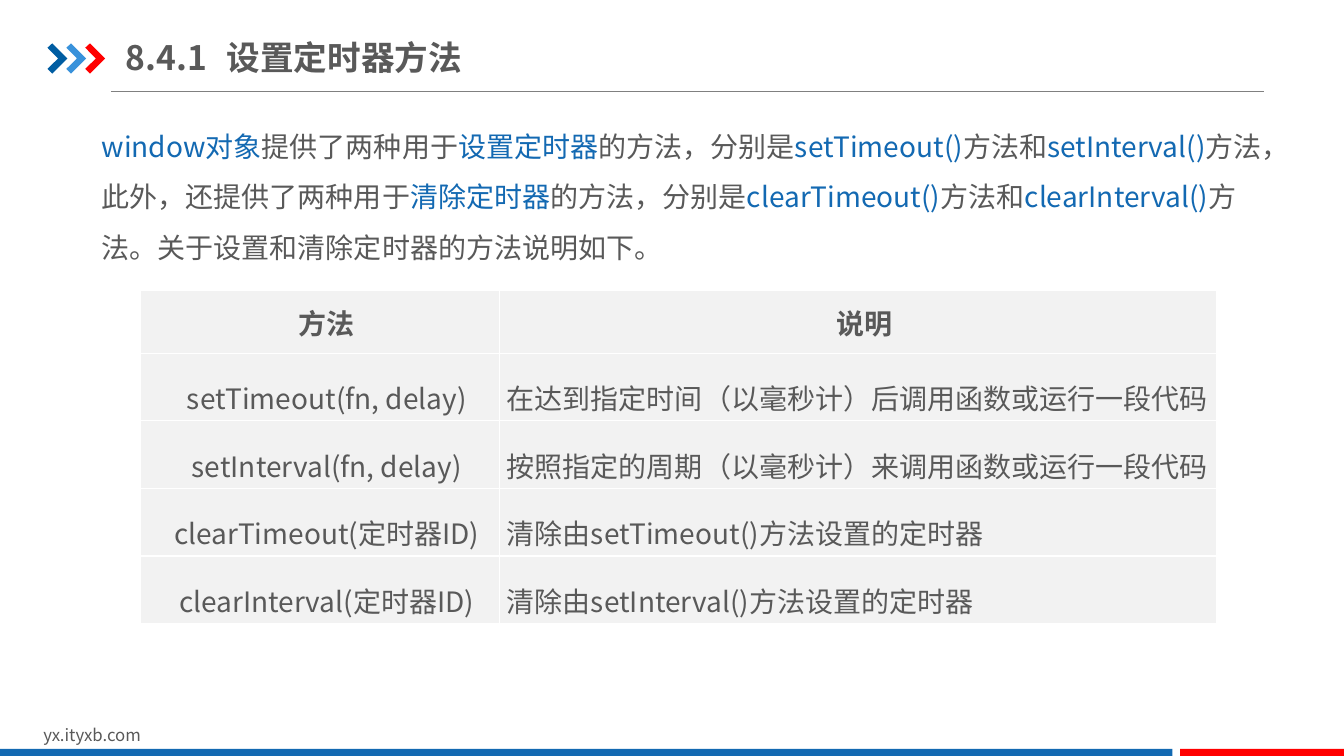
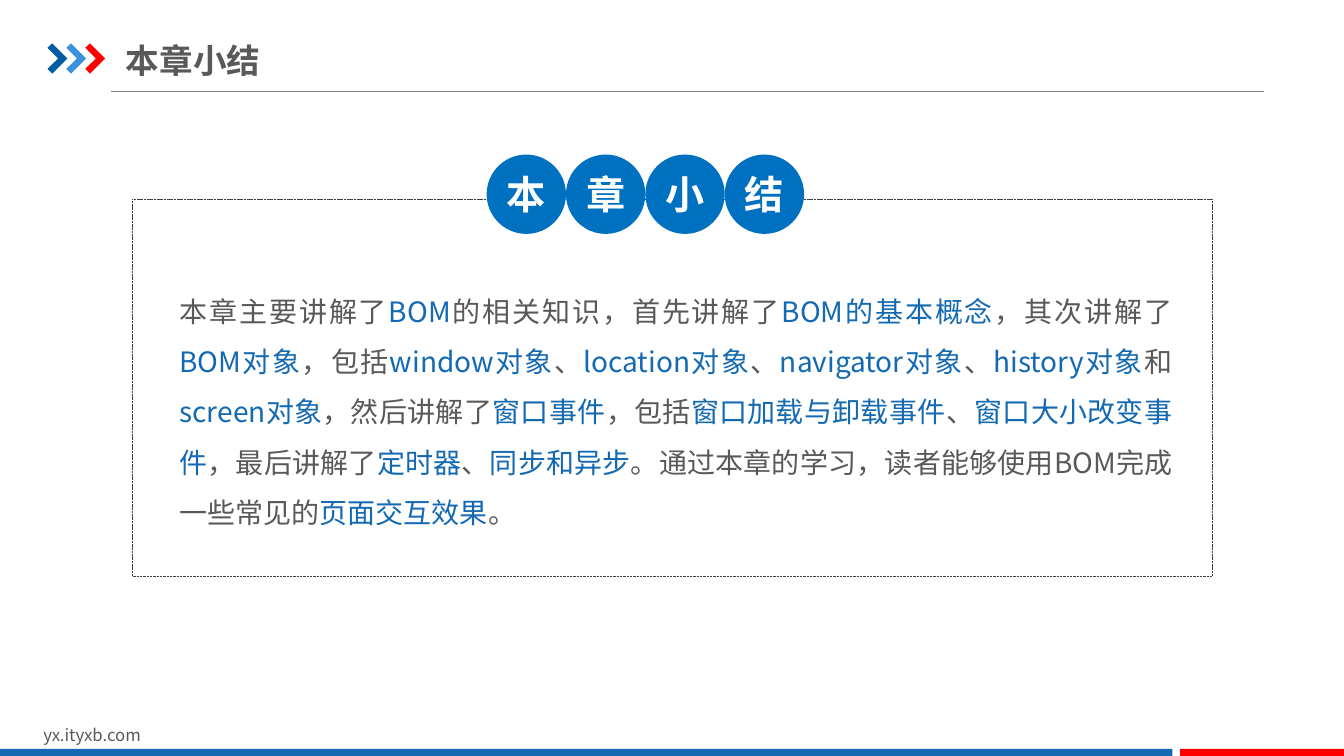
from dataclasses import dataclass

from lxml import etree
from pptx import Presentation
from pptx.dml.color import RGBColor
from pptx.enum import dml, shapes, text
from pptx.oxml.ns import qn
from pptx.util import Pt


@dataclass(frozen=True)
class Theme:
    font: str = "Noto Sans CJK SC"
    ink: str = "595959"
    accent: str = "1369B2"
    red: str = "FF0000"
    rule: str = "808080"
    frame: str = "404040"
    badge: str = "0070C0"
    cell: str = "F2F2F2"
    white: str = "FFFFFF"
    chevrons: tuple = ("005DA2", "3992DB", "FF0000")
    title_size: int = 24
    body_size: int = 20
    badge_size: int = 28
    footer_size: int = 12


THEME = Theme()
SITE = "yx.ityxb.com"
TIMER_TITLE = "8.4.1\t设置定时器方法"
TIMER_INTRO = (
    "|window对象|提供了两种用于|设置定时器|的方法，分别是|setTimeout()|方法和|setInterval()|"
    "方法，此外，还提供了两种用于|清除定时器|的方法，分别是|clearTimeout()|方法和|clearInterval()|"
    "方法。关于设置和清除定时器的方法说明如下。"
)
TIMER_METHODS = [
    ("方法", "说明"),
    ("setTimeout(fn, delay)", "在达到指定时间（以毫秒计）后调用函数或运行一段代码"),
    ("setInterval(fn, delay)", "按照指定的周期（以毫秒计）来调用函数或运行一段代码"),
    ("clearTimeout(定时器ID)", "清除由setTimeout()方法设置的定时器"),
    ("clearInterval(定时器ID)", "清除由setInterval()方法设置的定时器"),
]
SUMMARY_TITLE = "本章小结"
SUMMARY = (
    "本章主要讲解了|BOM|的相关知识，首先讲解了|BOM的基本概念|，其次讲解了|BOM对象|，包括|window对象|、"
    "|location对象|、|navigator对象|、|history对象|和|screen对象|，然后讲解了|窗口事件|，包括"
    "|窗口加载与卸载事件|、|窗口大小改变事件|，最后讲解了|定时器|、|同步和异步|"
    "。通过本章的学习，读者能够使用BOM完成一些常见的|页面交互效果|。"
)

CHEVRON = [(0, 3.1), (3.4, 0), (14.2, 10.8), (3.4, 21.6), (0, 18.2), (7.6, 10.8)]
CHEVRON_LEFT, CHEVRON_TOP, CHEVRON_STEP = 33.9, 31, 13.5
COLUMN_WIDTHS = (256.3, 512.6)
HEADER_HEIGHT, ROW_HEIGHT = 44.6, 48.3
BADGE_LEFT, BADGE_TOP, BADGE_SIZE = 347.6, 110.4, 56.7


def rgb(value):
    return RGBColor.from_string(value)


def points(*values):
    return [Pt(value) for value in values]


def style_run(run, size, color=THEME.ink, bold=False):
    run.font.size = Pt(size)
    run.font.bold = bold
    run.font.color.rgb = rgb(color)
    run.font.name = THEME.font
    etree.SubElement(run.font._element, qn("a:ea"), typeface=THEME.font)


def style_paragraph(paragraph, size, color=THEME.ink, bold=False):
    for run in paragraph.runs:
        style_run(run, size, color, bold)


def set_margins(frame, horizontal, vertical):
    frame.margin_left = frame.margin_right = Pt(horizontal)
    frame.margin_top = frame.margin_bottom = Pt(vertical)


def fill_plain(shape, color):
    shape.shadow.inherit = False
    shape.fill.solid()
    shape.fill.fore_color.rgb = rgb(color)
    shape.line.fill.background()


def add_text_box(slide, box):
    label = slide.shapes.add_textbox(*points(*box))
    label.text_frame.word_wrap = True
    return label


def add_marked_text(slide, box, marked, align, margins):
    frame = add_text_box(slide, box).text_frame
    set_margins(frame, *margins)
    paragraph = frame.paragraphs[0]
    paragraph.alignment = align
    paragraph.line_spacing = 1.5
    for index, part in enumerate(marked.split("|")):
        if part:
            run = paragraph.add_run()
            run.text = part
            style_run(run, THEME.body_size, THEME.accent if index % 2 else THEME.ink)


def set_title(slide, wording, box):
    title = slide.shapes.title
    title.left, title.top, title.width, title.height = points(*box)
    frame = title.text_frame
    frame.text = wording
    frame.word_wrap = True
    frame.auto_size = text.MSO_AUTO_SIZE.NONE
    frame.vertical_anchor = text.MSO_ANCHOR.MIDDLE
    set_margins(frame, 0, 5)
    frame.paragraphs[0].alignment = text.PP_ALIGN.LEFT
    style_paragraph(frame.paragraphs[0], THEME.title_size, bold=True)


def move_frame_to_layout(slide, layout):
    for holder in list(layout.placeholders):
        if holder.placeholder_format.type != shapes.PP_PLACEHOLDER.TITLE:
            layout.shapes.element.remove(holder.element)

    rule = slide.shapes.add_connector(shapes.MSO_CONNECTOR.STRAIGHT, *points(79.2, 65.5, 902.9, 65.5))
    rule.line.color.rgb = rgb(THEME.rule)
    rule.line.width = Pt(0.75)
    etree.SubElement(rule.element.spPr, qn("a:effectLst"))

    chevrons = slide.shapes.add_group_shape()
    for index, color in enumerate(THEME.chevrons):
        left = CHEVRON_LEFT + index * CHEVRON_STEP
        outline = [points(left + x, CHEVRON_TOP + y) for x, y in CHEVRON]
        builder = chevrons.shapes.build_freeform(*outline[0])
        builder.add_line_segments(outline[1:], close=True)
        fill_plain(builder.convert_to_shape(), color)

    site = add_text_box(slide, (23.8, 514, 229, 21.8))
    site.text_frame.text = SITE
    style_paragraph(site.text_frame.paragraphs[0], THEME.footer_size)

    parts = [rule, chevrons, site]
    for left, width, color in [(0, 837.4, THEME.accent), (843, 117, THEME.red)]:
        band = slide.shapes.add_shape(shapes.MSO_SHAPE.RECTANGLE, *points(left, 535, width, 5))
        fill_plain(band, color)
        parts.append(band)
    for part in parts:
        layout.shapes.element.append(part.element)


def add_cell_borders(cell):
    properties = cell._tc.get_or_add_tcPr()
    for side in ("lnL", "lnR", "lnT", "lnB"):
        border = etree.SubElement(properties, qn(f"a:{side}"), w=str(Pt(1)))
        fill = etree.SubElement(border, qn("a:solidFill"))
        etree.SubElement(fill, qn("a:srgbClr"), val=THEME.white)


def add_methods_table(slide):
    heights = [HEADER_HEIGHT] + [ROW_HEIGHT] * (len(TIMER_METHODS) - 1)
    box = points(100.3, 207.7, sum(COLUMN_WIDTHS), sum(heights))
    table = slide.shapes.add_table(len(heights), len(COLUMN_WIDTHS), *box).table
    table.first_row = table.horz_banding = False
    for column, width in zip(table.columns, COLUMN_WIDTHS):
        column.width = Pt(width)
    for r, (height, wording) in enumerate(zip(heights, TIMER_METHODS)):
        table.rows[r].height = Pt(height)
        for c, words in enumerate(wording):
            cell = table.cell(r, c)
            add_cell_borders(cell)
            cell.fill.solid()
            cell.fill.fore_color.rgb = rgb(THEME.cell)
            cell.vertical_anchor = text.MSO_ANCHOR.MIDDLE
            set_margins(cell, 5.4, 0)
            paragraph = cell.text_frame.paragraphs[0]
            paragraph.text = words
            if r == 0 or c == 0:
                paragraph.alignment = text.PP_ALIGN.CENTER
                paragraph._p.get_or_add_pPr().set("indent", str(Pt(10)))
            if r:
                paragraph.line_spacing = 1.5
            style_paragraph(paragraph, THEME.body_size, bold=r == 0)


def add_summary_frame(slide):
    frame = slide.shapes.add_shape(shapes.MSO_SHAPE.ROUNDED_RECTANGLE, *points(94.5, 142.4, 771.5, 269.2))
    frame.adjustments[0] = 0
    frame.shadow.inherit = False
    frame.fill.background()
    frame.line.color.rgb = rgb(THEME.frame)
    frame.line.width = Pt(0.25)
    frame.line.dash_style = dml.MSO_LINE.SQUARE_DOT


def add_badges(slide):
    for index, character in enumerate(SUMMARY_TITLE):
        box = points(BADGE_LEFT + index * BADGE_SIZE, BADGE_TOP, BADGE_SIZE, BADGE_SIZE)
        badge = slide.shapes.add_shape(shapes.MSO_SHAPE.OVAL, *box)
        fill_plain(badge, THEME.badge)
        frame = badge.text_frame
        frame.text = character
        frame.vertical_anchor = text.MSO_ANCHOR.MIDDLE
        set_margins(frame, 0, 0)
        frame.paragraphs[0].alignment = text.PP_ALIGN.CENTER
        style_paragraph(frame.paragraphs[0], THEME.badge_size, THEME.white, True)


def main():
    deck = Presentation()
    deck.slide_width, deck.slide_height = points(960, 540)
    layout = deck.slide_layouts[5]

    timer = deck.slides.add_slide(layout)
    move_frame_to_layout(timer, layout)
    set_title(timer, TIMER_TITLE, (90, 20.9, 248.4, 39.6))
    add_marked_text(timer, (65.5, 77, 844.6, 116.6), TIMER_INTRO, text.PP_ALIGN.LEFT, (7.2, 3.6))
    add_methods_table(timer)

    summary = deck.slides.add_slide(layout)
    set_title(summary, SUMMARY_TITLE, (90, 25.9, 378.7, 34.6))
    add_summary_frame(summary)
    add_marked_text(summary, (128.2, 198, 709.2, 181.4), SUMMARY, text.PP_ALIGN.JUSTIFY, (0, 0))
    add_badges(summary)

    deck.save("out.pptx")


if __name__ == "__main__":
    main()
